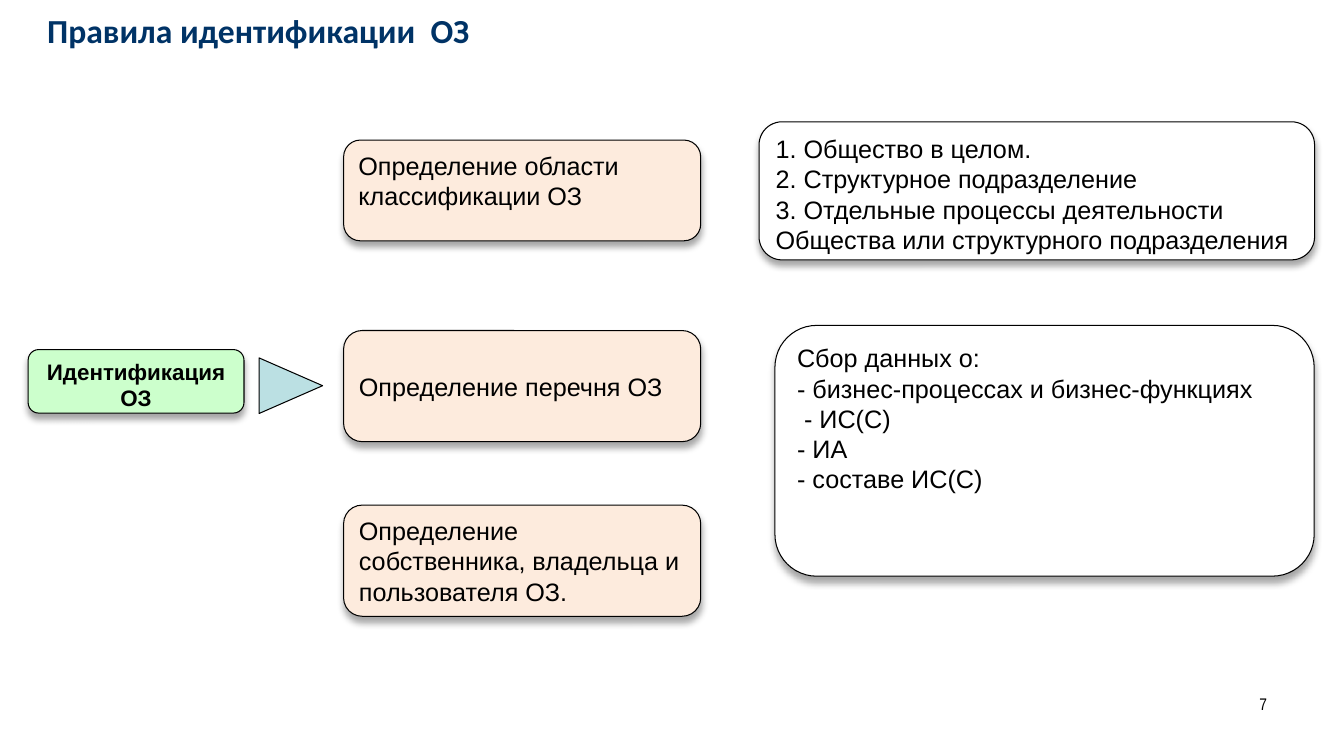
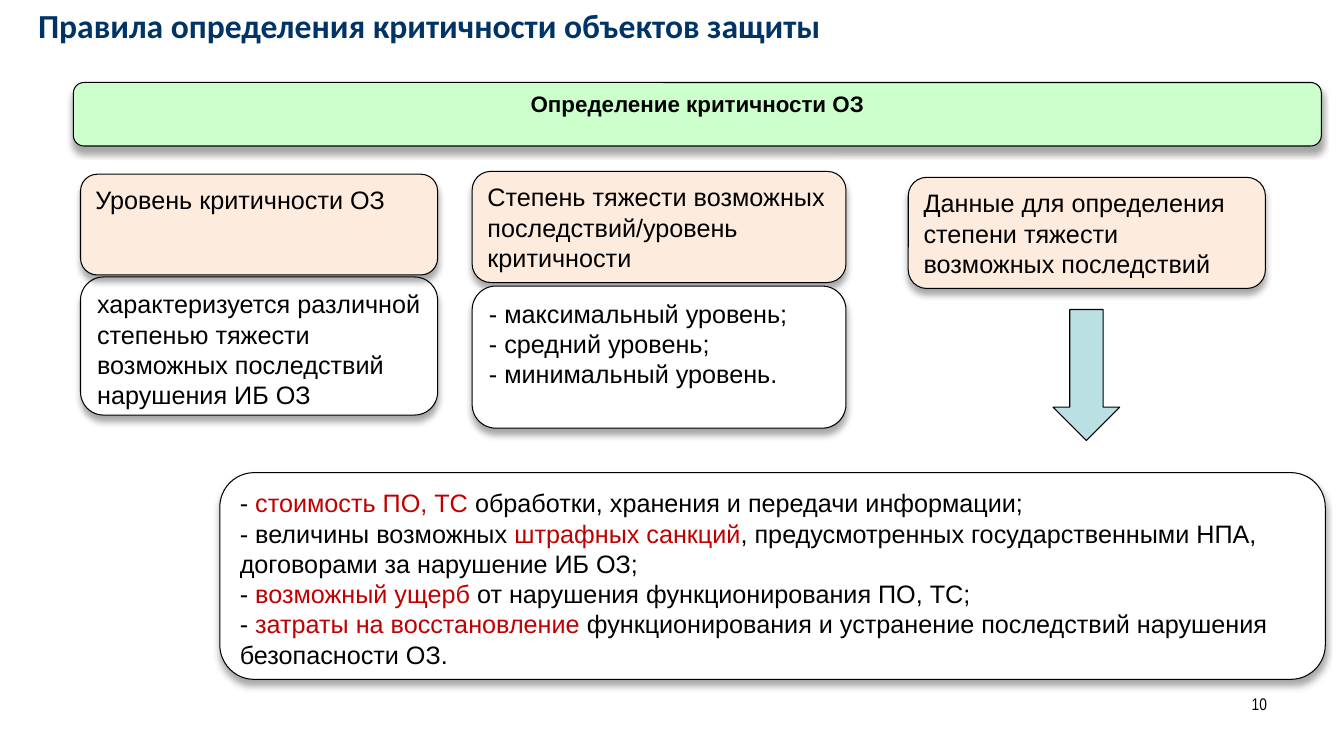
from lxml import etree
from pptx import Presentation
from pptx.dml.color import RGBColor
from pptx.enum import shapes, text
from pptx.oxml import parse_xml
from pptx.oxml.ns import nsdecls
from pptx.util import Cm, Pt

NAVY = RGBColor(0x00, 0x33, 0x66)
BLACK = RGBColor(0x00, 0x00, 0x00)
WHITE = RGBColor(0xFF, 0xFF, 0xFF)
RED = RGBColor(0xC0, 0x00, 0x00)
GREEN = RGBColor(0xCC, 0xFF, 0xCC)
PEACH = RGBColor(0xFD, 0xEB, 0xDD)
AQUA = RGBColor(0xBB, 0xE0, 0xE3)

LEFT, CENTER, RIGHT = text.PP_ALIGN.LEFT, text.PP_ALIGN.CENTER, text.PP_ALIGN.RIGHT
TOP, MIDDLE = text.MSO_ANCHOR.TOP, text.MSO_ANCHOR.MIDDLE

STEP_WIDTH, STEP_HEIGHT, LOW_STEP_HEIGHT = 9, 2.8, 2.54
HEADING_HEIGHT = 1.6

SHADOW = (
    f'<a:effectLst {nsdecls("a")}>'
    '<a:outerShdw blurRad="63500" dist="50800" dir="5400000" rotWithShape="0">'
    '<a:srgbClr val="000000"><a:alpha val="35000"/></a:srgbClr>'
    '</a:outerShdw></a:effectLst>'
)


def write(shape, lines, size=18, font="Arial", color=BLACK, bold=False,
          align=LEFT, anchor=TOP):
    """Write one paragraph per line; words between asterisks turn red."""
    frame = shape.text_frame
    frame.word_wrap = True
    frame.vertical_anchor = anchor
    for index, line in enumerate(lines):
        paragraph = frame.paragraphs[0] if index == 0 else frame.add_paragraph()
        paragraph.alignment = align
        for part, words in enumerate(line.split("*")):
            if not words:
                continue
            run = paragraph.add_run()
            run.text = words
            run.font.size = Pt(size)
            run.font.name = font
            run.font.bold = bold
            run.font.color.rgb = RED if part % 2 else color


class Deck:
    def __init__(self):
        self.presentation = Presentation()
        self.presentation.slide_width = Cm(33.87)
        self.presentation.slide_height = Cm(19.05)
        self.slide = None

    def new_slide(self, title, number, left, top):
        """Start a slide with its title at left, top and its page number."""
        self.slide = self.presentation.slides.add_slide(
            self.presentation.slide_layouts[6])
        self.label(title, left, top, 32, 1.27, size=24, font="Calibri",
                   color=NAVY, bold=True, anchor=MIDDLE)
        self.label(number, 24.28, 17.35, 7.9, 1.32, size=12,
                   font="Arial Narrow", align=RIGHT)

    def label(self, words, left, top, width, height, **style):
        box = self.slide.shapes.add_textbox(
            Cm(left), Cm(top), Cm(width), Cm(height))
        write(box, [words], **style)

    def figure(self, kind, left, top, width, height, fill):
        """Add an outlined preset shape without a shadow."""
        shape = self.slide.shapes.add_shape(
            kind, Cm(left), Cm(top), Cm(width), Cm(height))
        shape.fill.solid()
        shape.fill.fore_color.rgb = fill
        shape.line.color.rgb = BLACK
        shape.line.width = Pt(0.75)
        shape.shadow.inherit = False
        return shape

    def card(self, lines, left, top, width, height, fill=WHITE, **style):
        """Add a rounded box with a soft shadow below it."""
        shape = self.figure(shapes.MSO_SHAPE.ROUNDED_RECTANGLE,
                            left, top, width, height, fill)
        properties = shape._element.spPr
        empty_effects = properties.find(
            "{http://schemas.openxmlformats.org/drawingml/2006/main}effectLst")
        properties.replace(empty_effects, parse_xml(SHADOW))
        write(shape, lines, **style)

    def heading(self, words, left, top, width):
        self.card([words], left, top, width, HEADING_HEIGHT, GREEN,
                  size=16, bold=True, align=CENTER)

    def step(self, words, left, top, width=STEP_WIDTH, height=STEP_HEIGHT, **style):
        self.card([words], left, top, width, height, PEACH, **style)


def identification(deck):
    deck.new_slide("Правила идентификации  ОЗ", "7", 0.94, 0.13)
    deck.heading("Идентификация ОЗ", 0.71, 8.81, 5.44)
    pointer = deck.figure(shapes.MSO_SHAPE.ISOSCELES_TRIANGLE,
                          6.63, 8.92, 1.4, 1.6, AQUA)
    pointer.rotation = 90

    steps_left = 8.66
    deck.step("Определение области классификации ОЗ", steps_left, 3.53,
              height=LOW_STEP_HEIGHT)
    deck.step("Определение перечня ОЗ", steps_left, 8.33, anchor=MIDDLE)
    deck.step("Определение собственника, владельца и пользователя ОЗ.",
              steps_left, 12.73)

    deck.card(["1. Общество в целом.",
               "2. Структурное подразделение",
               "3. Отдельные процессы деятельности Общества или "
               "структурного подразделения"], 19.13, 3.07, 14, 3.48)
    deck.card(["Сбор данных о:",
               "- бизнес-процессах и бизнес-функциях",
               " - ИС(С)",
               "- ИА",
               "- составе ИС(С)"], 19.53, 8.2, 13.59, 6.32)


def criticality(deck):
    deck.new_slide("Правила определения критичности объектов защиты", "10", 0.71, 0)
    deck.heading("Определение критичности ОЗ", 1.85, 2.08, 31.45)

    level_left, severity_left, severity_width = 2.03, 11.9, 9.42
    deck.card(["характеризуется различной степенью тяжести возможных "
               "последствий нарушения ИБ ОЗ"], level_left, 6.98, STEP_WIDTH, 3.48)
    deck.step("Уровень критичности ОЗ", level_left, 4.39, height=LOW_STEP_HEIGHT)
    deck.step("Степень тяжести возможных последствий/уровень критичности",
              severity_left, 4.32, severity_width)
    deck.card(["- максимальный уровень;",
               "- средний уровень;",
               "- минимальный уровень."], severity_left, 7.21, severity_width, 3.58)
    deck.step("Данные для определения степени тяжести возможных последствий",
              22.89, 4.47)
    deck.figure(shapes.MSO_SHAPE.DOWN_ARROW, 26.54, 7.8, 1.68, 3.3, AQUA)

    deck.card(["- *стоимость ПО, ТС *обработки, хранения и передачи информации;",
               "- величины возможных *штрафных санкций*, предусмотренных "
               "государственными НПА, договорами за нарушение ИБ ОЗ;",
               "- *возможный ущерб *от нарушения функционирования ПО, ТС;",
               "- *затраты на восстановление *функционирования и устранение "
               "последствий нарушения безопасности ОЗ."], 5.54, 11.91, 27.86, 5.21)


def main():
    deck = Deck()
    identification(deck)
    criticality(deck)
    deck.presentation.save("out.pptx")


if __name__ == "__main__":
    main()
